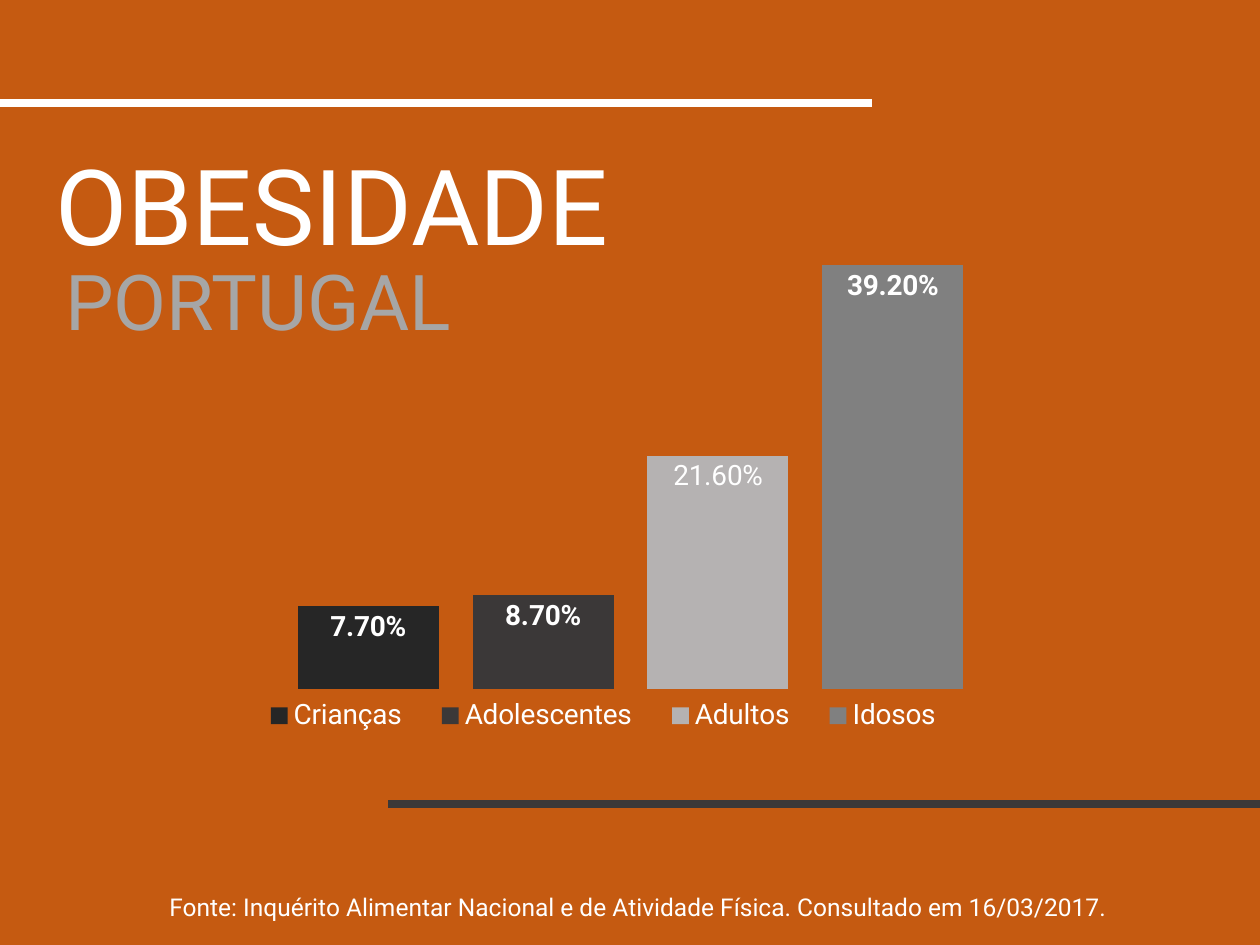
"""Build the slide on obesity by age group in Portugal."""
from dataclasses import dataclass

from lxml import etree
from pptx import Presentation
from pptx import util as u
from pptx.chart import data as cd
from pptx.dml.color import RGBColor
from pptx.enum import chart as ch, shapes, text
from pptx.oxml import parse_xml
from pptx.oxml.ns import nsdecls, qn

W, H = u.Inches(10), u.Inches(7.5)


@dataclass(frozen=True)
class Theme:
    """Colours, font and type sizes of the slide."""
    back: str = "C55A11"
    light: str = "FFFFFF"
    dark: str = "3B3838"
    muted: str = "A6A6A6"
    font: str = "Roboto"
    title: int = 60
    subtitle: int = 44
    label: int = 16
    source: int = 14
    rule: float = 4.5


T = Theme()


@dataclass(frozen=True)
class Box:
    """A frame given as shares of the width and height around it."""
    x: float
    y: float
    w: float
    h: float

    def emu(self) -> tuple[int, int, int, int]:
        """Return left, top, width and height on the slide in EMU."""
        return int(self.x * W), int(self.y * H), int(self.w * W), int(self.h * H)


@dataclass(frozen=True)
class Caption:
    """A one-line text box."""
    words: str
    box: Box
    size: int
    color: str
    align: text.PP_ALIGN = text.PP_ALIGN.LEFT


@dataclass(frozen=True)
class Rule:
    """A horizontal line in shares of the slide."""
    x1: float
    x2: float
    y: float
    color: str


@dataclass(frozen=True)
class Group:
    """An age group shown as one bar."""
    name: str
    value: float
    color: str
    bold: bool = True


CAPTIONS = [
    Caption("OBESIDADE", Box(0.034, 0.142, 0.551, 0.148), T.title, T.light),
    Caption("PORTUGAL", Box(0.042, 0.262, 0.551, 0.112), T.subtitle, T.muted),
    Caption("Fonte: Inquérito Alimentar Nacional e de Atividade Física. "
            "Consultado em 16/03/2017.",
            Box(0.034, 0.937, 0.945, 0.045), T.source, T.light, text.PP_ALIGN.CENTER),
]
RULES = [Rule(0.308, 1, 0.851, T.dark), Rule(0, 0.692, 0.109, T.light)]
GROUPS = [
    Group("Crianças", 0.077, "262626"),
    Group("Adolescentes", 0.087, T.dark),
    Group("Adultos", 0.216, "B5B2B2", bold=False),
    Group("Idosos", 0.392, "808080"),
]
CHART_BOX = Box(0.167, 0.204, 0.667, 0.592)
PLOT_BOX = Box(0.02, 0.018, 0.96, 0.87)
LEGEND_BOX = Box(0.035, 0.89, 0.865, 0.09)


def rgb(color: str) -> RGBColor:
    """Turn a hex string into a colour."""
    return RGBColor.from_string(color)


def style(font, size: int, color: str, bold: bool = False) -> None:
    """Apply the theme font with a size, colour and weight."""
    font.name, font.size, font.bold = T.font, u.Pt(size), bold
    font.color.rgb = rgb(color)


def add_caption(slide, c: Caption) -> None:
    """Draw a text box."""
    tf = slide.shapes.add_textbox(*c.box.emu()).text_frame
    tf.word_wrap = True
    tf.auto_size = text.MSO_AUTO_SIZE.SHAPE_TO_FIT_TEXT
    tf.text = c.words
    p = tf.paragraphs[0]
    p.alignment = c.align
    style(p.runs[0].font, c.size, c.color)


def add_rule(slide, rule: Rule) -> None:
    """Draw a horizontal line without a shadow."""
    y = int(rule.y * H)
    sp = slide.shapes.add_connector(
        shapes.MSO_CONNECTOR.STRAIGHT, int(rule.x1 * W), y, int(rule.x2 * W), y)
    sp.line.color.rgb = rgb(rule.color)
    sp.line.width = u.Pt(T.rule)
    etree.SubElement(sp.element.spPr, qn("a:effectLst"))


def place(chart, tag: str, index: int, box: Box, target: str = "") -> None:
    """Fix a part of the chart at shares of the chart's size."""
    part = chart.element.find(".//" + qn(tag))
    for old in part.findall(qn("c:layout")):
        part.remove(old)
    sides = "".join(f'<c:{k} val="{getattr(box, k)}"/>' for k in "xywh")
    part.insert(index, parse_xml(
        f'<c:layout {nsdecls("c")}><c:manualLayout>{target}'
        f'<c:xMode val="edge"/><c:yMode val="edge"/>{sides}'
        '</c:manualLayout></c:layout>'))


def add_bars(slide, groups: list[Group]) -> None:
    """Draw the column chart with one series per age group."""
    data = cd.CategoryChartData(number_format="0.00%")
    data.categories = ["1"]
    for g in groups:
        data.add_series(g.name, [g.value])
    chart = slide.shapes.add_chart(
        ch.XL_CHART_TYPE.COLUMN_CLUSTERED, *CHART_BOX.emu(), data).chart
    chart.has_title = False
    style(chart.font, T.label, T.light)
    chart.has_legend = True
    chart.legend.position = ch.XL_LEGEND_POSITION.BOTTOM
    chart.legend.include_in_layout = False
    style(chart.legend.font, T.label, T.light)
    axis = chart.value_axis
    axis.minimum_scale, axis.maximum_scale = 0, 0.45
    axis.has_major_gridlines = False
    axis.visible = chart.category_axis.visible = False
    plot = chart.plots[0]
    plot.gap_width, plot.overlap, plot.vary_by_categories = 100, -24, False
    for series, g in zip(plot.series, groups):
        series.format.fill.solid()
        series.format.fill.fore_color.rgb = rgb(g.color)
        labels = series.data_labels
        labels.show_value = True
        labels.position = ch.XL_LABEL_POSITION.INSIDE_END
        labels.number_format, labels.number_format_is_linked = "0.00%", False
        style(labels.font, T.label, T.light, g.bold)
    place(chart, "c:plotArea", 0, PLOT_BOX, '<c:layoutTarget val="inner"/>')
    place(chart, "c:legend", 1, LEGEND_BOX)


def main() -> None:
    """Build and save the slide."""
    prs = Presentation()
    prs.slide_width, prs.slide_height = W, H
    slide = prs.slides.add_slide(prs.slide_layouts[6])
    slide.background.fill.solid()
    slide.background.fill.fore_color.rgb = rgb(T.back)
    add_bars(slide, GROUPS)
    for rule in RULES:
        add_rule(slide, rule)
    for caption in CAPTIONS:
        add_caption(slide, caption)
    prs.save("out.pptx")


if __name__ == "__main__":
    main()
